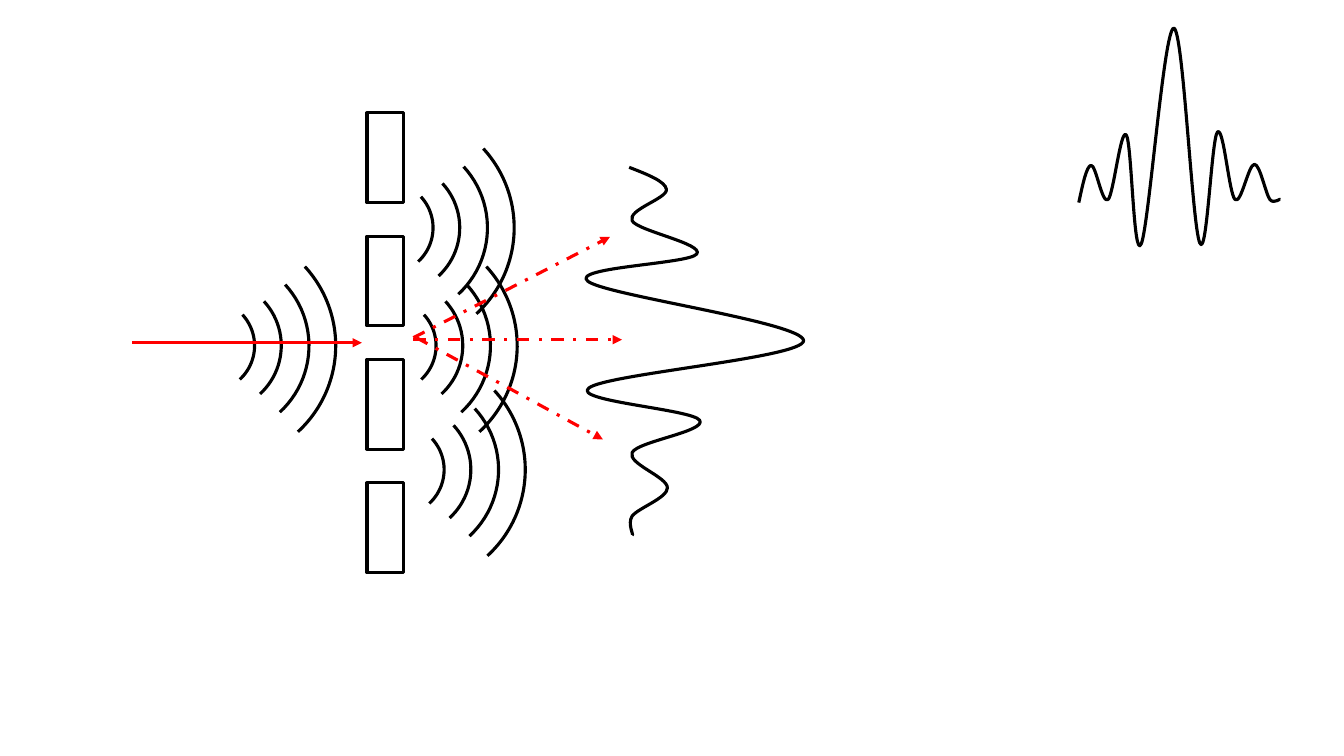
"""Draw a multi-slit diffraction diagram with its intensity curve."""
from lxml.etree import SubElement
from pptx import Presentation
from pptx.dml.color import RGBColor
from pptx.enum.dml import MSO_LINE
from pptx.enum.shapes import MSO_CONNECTOR, MSO_SHAPE
from pptx.oxml.ns import qn
from pptx.util import Inches, Pt

COLORS = {"ink": "000000", "paper": "FFFFFF", "ray": "FF0000"}
COLS, ROWS = 13.33, 7.5
CELL = Inches(1)
WAVE_TURN = 47.4
ARCS = [(0.91, 0), (1.3, 0.07), (1.79, 0.1), (2.32, 0.1)]
WAVE_CENTERS = [(3.95, 4.66), (3.84, 2.26), (3.87, 3.43), (2.07, 3.43)]
DIFFRACTED = [(4.1, 3.37, 6.17, 3.37), (4.1, 3.35, 6.05, 2.35), (4.13, 3.35, 5.98, 4.36)]
INTENSITY = [
    (0, 0),
    (0.07, 0.18), (0.14, 0.36), (0.22, 0.37),
    (0.31, 0.38), (0.42, -0.02), (0.53, 0.03),
    (0.63, 0.08), (0.76, 0.75), (0.86, 0.67),
    (0.96, 0.6), (0.99, -0.59), (1.13, -0.41),
    (1.27, -0.24), (1.54, 1.73), (1.72, 1.73),
    (1.89, 1.73), (2.05, -0.23), (2.19, -0.4),
    (2.32, -0.57), (2.4, 0.63), (2.51, 0.7),
    (2.62, 0.77), (2.72, 0.08), (2.83, 0.03),
    (2.94, -0.02), (3.07, 0.38), (3.18, 0.38),
    (3.28, 0.38), (3.38, 0.09), (3.46, 0.03),
    (3.54, -0.02), (3.65, 0.05), (3.65, 0.03),
]


def cells(*counts):
    """Turn counts of grid cells into lengths."""
    return [round(n * CELL) for n in counts]


def color(name):
    """Look up a named colour."""
    return RGBColor.from_string(COLORS[name])


def outline(shape, name="ink"):
    """Give a shape or connector its line."""
    shape.line.color.rgb = color(name)
    shape.line.width = Pt(2.25)


def add_slit_wall(shapes, left, top, step, count):
    """Add the blocks of the wall at equal steps."""
    for i in range(count):
        sp = shapes.add_shape(MSO_SHAPE.RECTANGLE, *cells(left, top + i * step, 0.36, 0.89))
        sp.shadow.inherit = False
        sp.fill.solid()
        sp.fill.fore_color.rgb = color("paper")
        outline(sp)


def add_waves(shapes, cx, cy):
    """Add the arcs that spread from one point."""
    for size, shift in ARCS:
        left, top = cx + shift - size / 2, cy - size / 2
        sp = shapes.add_shape(MSO_SHAPE.ARC, *cells(left, top, size, size))
        sp.rotation = WAVE_TURN
        sp.shadow.inherit = False
        sp.fill.background()
        outline(sp)


def add_ray(shapes, ends, dash=None):
    """Add a ray with an arrowhead at its end."""
    ray = shapes.add_connector(MSO_CONNECTOR.STRAIGHT, *cells(*ends))
    outline(ray, "ray")
    ray.line.dash_style = dash
    SubElement(ray.line._get_or_add_ln(), qn("a:tailEnd"), type="triangle")
    SubElement(ray._element.spPr, qn("a:effectLst"))


def add_curve(shapes, points):
    """Add an open curve whose points come as a start and Bézier triples."""
    start, *rest = [cells(*point) for point in points]
    builder = shapes.build_freeform(*start)
    builder.add_line_segments(rest, close=False)
    sp = builder.convert_to_shape()
    segments = sp._element.xpath(".//a:lnTo")
    for i in range(0, len(segments), 3):
        parent = segments[i].getparent()
        bezier = SubElement(parent, qn("a:cubicBezTo"))
        for segment in segments[i:i + 3]:
            bezier.append(segment[0])
            parent.remove(segment)
    sp.shadow.inherit = False
    sp.fill.background()
    outline(sp)


def main():
    """Build and save the slide."""
    prs = Presentation()
    prs.slide_width, prs.slide_height = cells(COLS, ROWS)
    s = prs.slides.add_slide(prs.slide_layouts[6])
    add_curve(s.shapes, [(10.7 + x * 2 / 3.65, 2.01 - y) for x, y in INTENSITY])
    diagram = s.shapes.add_group_shape().shapes
    add_slit_wall(diagram, 3.64, 1.12, 3.67 / 3, 4)
    for center in WAVE_CENTERS:
        add_waves(diagram, *center)
    add_ray(diagram, (1.31, 3.4, 3.59, 3.4))
    add_curve(diagram, [(6.24 + y, 1.66 + x) for x, y in INTENSITY])
    for ends in DIFFRACTED:
        add_ray(diagram, ends, MSO_LINE.DASH_DOT)
    prs.save("out.pptx")


if __name__ == "__main__":
    main()
